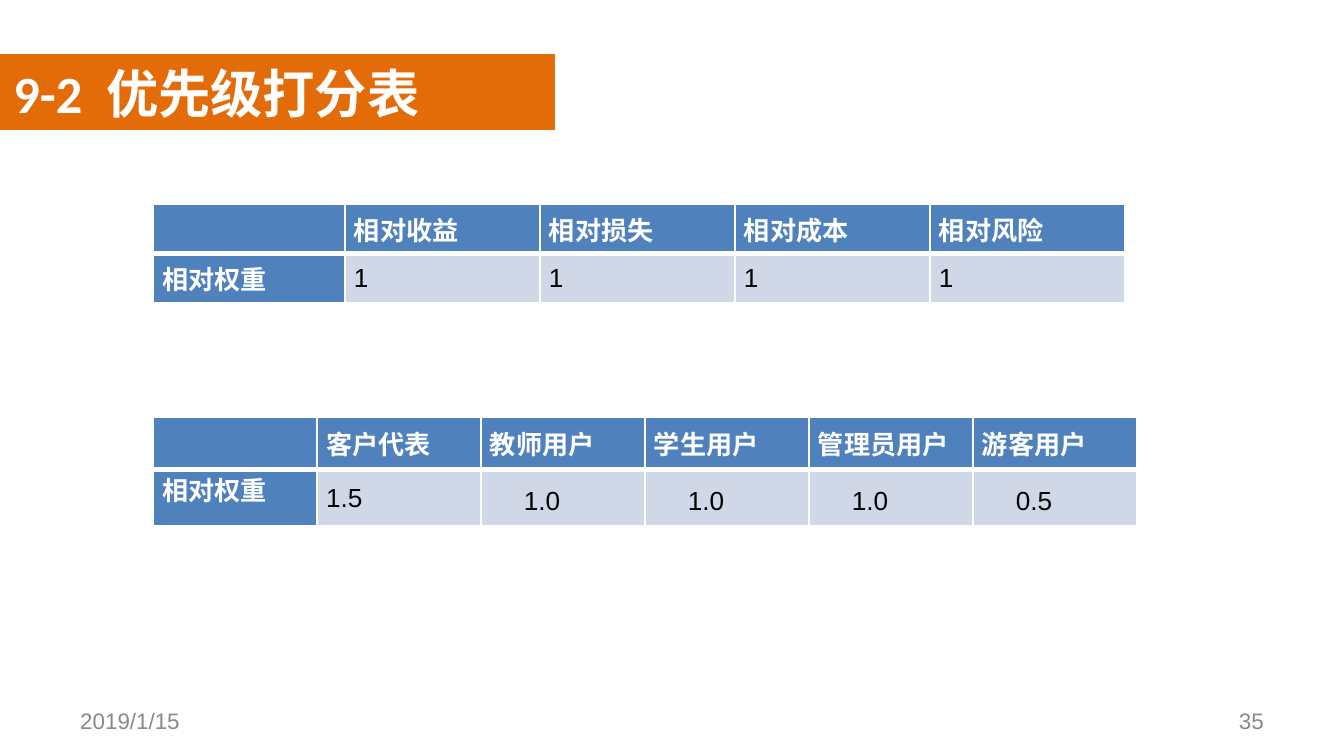
from lxml.etree import SubElement
from pptx import Presentation
from pptx.dml.color import RGBColor
from pptx.enum.text import MSO_ANCHOR as Anchor, MSO_AUTO_SIZE as AutoSize, PP_ALIGN as Align
from pptx.oxml.ns import qn
from pptx.util import Pt

PX = 914400 / 134.4  # EMU per px

WHITE = RGBColor(0xFF, 0xFF, 0xFF)
BLACK = RGBColor(0x00, 0x00, 0x00)
ORANGE = RGBColor(0xE3, 0x6C, 0x09)
BLUE = RGBColor(0x4F, 0x81, 0xBD)
PALE_BLUE = RGBColor(0xD0, 0xD8, 0xE8)
GRAY = RGBColor(0x89, 0x89, 0x89)

CELL_PAD = 9
INDENTED_PAD = 43


def px(length):
    return round(length * PX)


def add_run(paragraph, text, font, size, color, bold=False):
    run = paragraph.add_run()
    run.text = text
    run.font.name = font
    run.font.size = Pt(size)
    run.font.color.rgb = color
    run.font.bold = bold
    return run


def set_border(cell, bottom_width):
    """White lines on all four sides, the lower one of its own width."""
    properties = cell._tc.get_or_add_tcPr()
    sides = (("a:lnL", 1), ("a:lnR", 1), ("a:lnT", 1), ("a:lnB", bottom_width))
    for position, (side, width) in enumerate(sides):
        line = SubElement(properties, qn(side), w=str(Pt(width)))
        properties.insert(position, line)  # lines come before the fill
        fill = SubElement(line, qn("a:solidFill"))
        SubElement(fill, qn("a:srgbClr"), val=str(WHITE))


def add_title(slide, left, top, width, height):
    title = slide.shapes.title
    title.left, title.top, title.width, title.height = map(px, (left, top, width, height))
    title.fill.solid()
    title.fill.fore_color.rgb = ORANGE
    frame = title.text_frame
    frame.auto_size = AutoSize.NONE
    frame.vertical_anchor = Anchor.TOP
    paragraph = frame.paragraphs[0]
    paragraph.alignment = Align.LEFT
    add_run(paragraph, "9-2", "Calibri", 28, WHITE, True)
    gap = add_run(paragraph, " ", "Calibri", 28, WHITE, True)
    gap.font._element.set("spc", "640")  # wider gap after the number
    add_run(paragraph, "优先级打分表", "Calibri", 28, WHITE, True)


def add_weight_table(slide, left, top, columns, row_heights, headings, weights, indented=False):
    """Headings above one row of weights; indented sets all but the first weight further in."""
    rows = (("", *headings), ("相对权重", *weights))
    frame = slide.shapes.add_table(len(rows), len(columns), px(left), px(top),
                                   px(sum(columns)), px(sum(row_heights)))
    table = frame.table
    table.first_row = table.horz_banding = False
    for column, width in zip(table.columns, columns):
        column.width = px(width)
    for row, height in zip(table.rows, row_heights):
        row.height = px(height)

    for r, texts in enumerate(rows):
        for c, text in enumerate(texts):
            cell = table.cell(r, c)
            is_heading = r == 0 or c == 0
            is_indented = indented and r == 1 and c > 1
            cell.margin_left = px(INDENTED_PAD if is_indented else CELL_PAD)
            cell.margin_right = px(CELL_PAD)
            cell.margin_top = px(6 if is_indented else 0)
            cell.margin_bottom = 0
            top_label = indented and r == 1 and c == 0
            cell.vertical_anchor = Anchor.TOP if top_label else Anchor.MIDDLE
            cell.fill.solid()
            cell.fill.fore_color.rgb = BLUE if is_heading else PALE_BLUE
            set_border(cell, 3 if r == 0 else 1)
            if text:
                paragraph = cell.text_frame.paragraphs[0]
                paragraph.alignment = Align.JUSTIFY
                add_run(paragraph, text, "Arial", 14, WHITE if is_heading else BLACK, is_heading)


def add_footer(slide, left, top, width, height):
    """Date at the left end of the box, page number at the right end."""
    part_width = 313
    parts = ((left, "2019/1/15", Align.LEFT),
             (left + width - part_width, "35", Align.RIGHT))
    for part_left, text, alignment in parts:
        box = slide.shapes.add_textbox(px(part_left), px(top), px(part_width), px(height))
        frame = box.text_frame
        frame.word_wrap = True
        frame.vertical_anchor = Anchor.MIDDLE
        paragraph = frame.paragraphs[0]
        paragraph.alignment = alignment
        add_run(paragraph, text, "Arial", 12, GRAY)


def main():
    deck = Presentation()
    deck.slide_width, deck.slide_height = px(1344), px(756)
    slide = deck.slides.add_slide(deck.slide_layouts[5])  # title only

    add_title(slide, 0, 54, 555, 76)

    # Weights of the criteria
    add_weight_table(slide, 153, 204, [192] + [195] * 4, [50, 49],
                     ("相对收益", "相对损失", "相对成本", "相对风险"), ["1"] * 4)
    # Weights of the user groups
    add_weight_table(slide, 153, 417, [164] * 6, [53, 56],
                     ("客户代表", "教师用户", "学生用户", "管理员用户", "游客用户"),
                     ("1.5", "1.0", "1.0", "1.0", "0.5"), indented=True)

    add_footer(slide, 67, 700, 1210, 41)
    deck.save("out.pptx")


if __name__ == "__main__":
    main()
